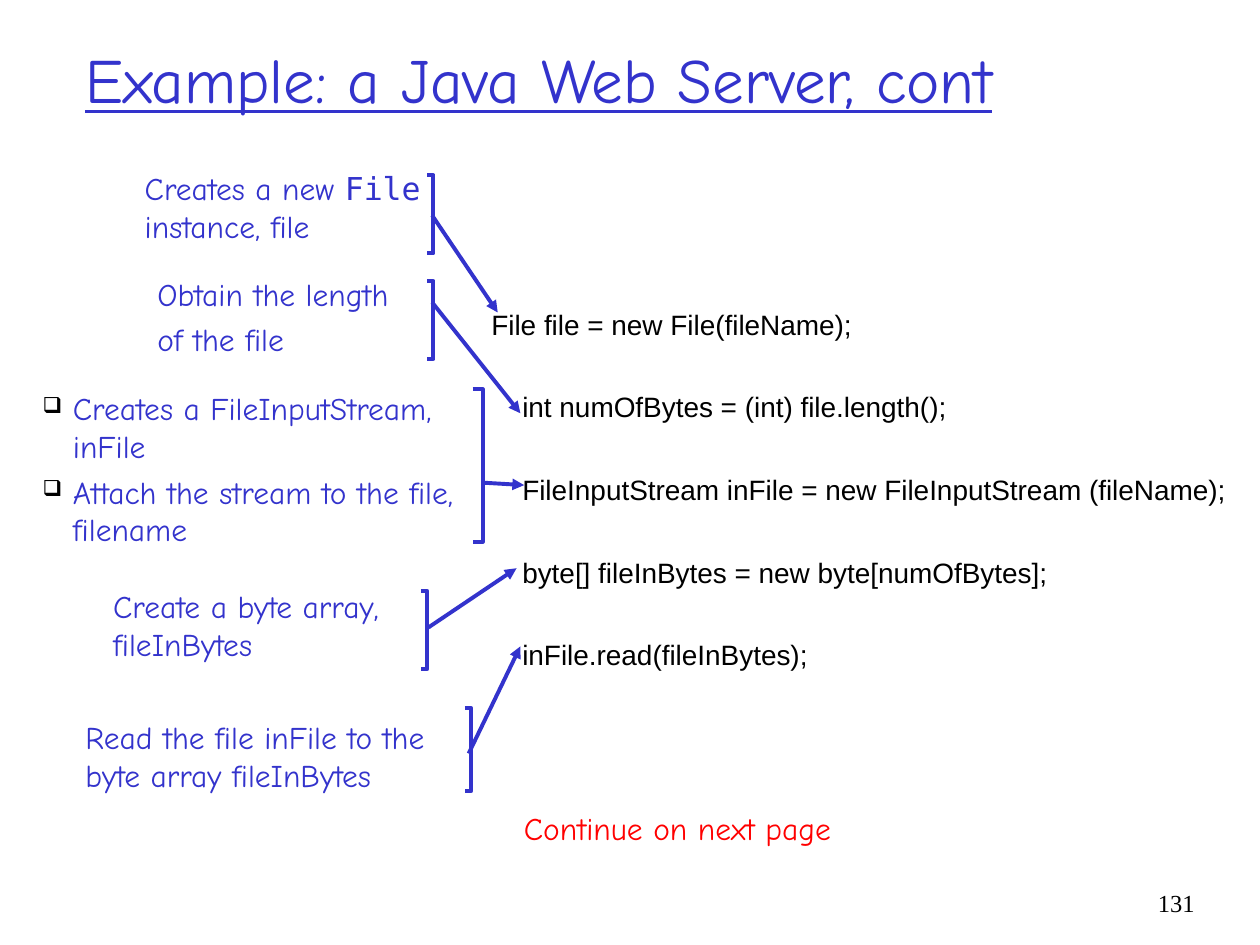
import pptx
import pptx.dml.color
import pptx.enum.shapes
import pptx.enum.text
import pptx.oxml.ns
import pptx.util
from lxml import etree
from pptx.util import Inches

BLUE = "3333CC"
BLACK = "000000"
RED = "FF0000"
HAND = "Comic Neue"
MONO = "DejaVu Sans Mono"


def color(hex_string):
    return pptx.dml.color.RGBColor.from_string(hex_string)


def add_element(parent, tag, **attributes):
    return etree.SubElement(parent, pptx.oxml.ns.qn(tag), **attributes)


def add_bullet(paragraph):
    properties = paragraph._p.get_or_add_pPr()
    properties.set("marL", str(Inches(0.24)))
    properties.set("indent", str(Inches(-0.24)))
    bullet_color = add_element(properties, "a:buClr")
    add_element(bullet_color, "a:srgbClr", val=BLACK)
    add_element(properties, "a:buSzPct", val="70000")
    add_element(properties, "a:buChar", char="❑")


def style_run(run, font, size, hex_string):
    run.font.name = font
    run.font.size = pptx.util.Pt(size)
    run.font.color.rgb = color(hex_string)


def add_text(slide, box, lines, size=18, font=HAND, hex_string=BLUE, gap=4.5,
             bulleted=False, wrap=True):
    shape = slide.shapes.add_textbox(*map(Inches, box))
    text_frame = shape.text_frame
    text_frame.word_wrap = wrap
    text_frame.text = "\n".join(lines)
    for index, paragraph in enumerate(text_frame.paragraphs):
        if bulleted:
            add_bullet(paragraph)
        if index:
            paragraph.space_before = pptx.util.Pt(gap)
        for run in paragraph.runs:
            style_run(run, font, size, hex_string)
    return text_frame


def style_line(shape):
    shape.line.color.rgb = color(BLUE)
    shape.line.width = pptx.util.Pt(2.25)


def add_bracket(slide, box):
    left, top, width, height = map(Inches, box)
    builder = slide.shapes.build_freeform(left, top)
    right, bottom = left + width, top + height
    builder.add_line_segments([(right, top), (right, bottom), (left, bottom)], close=False)
    shape = builder.convert_to_shape()
    shape.shadow.inherit = False
    shape.fill.background()
    style_line(shape)


def add_arrow(slide, start, end):
    connector = slide.shapes.add_connector(
        pptx.enum.shapes.MSO_CONNECTOR.STRAIGHT, *map(Inches, start + end))
    style_line(connector)
    add_element(connector.line._get_or_add_ln(), "a:tailEnd", type="triangle")
    add_element(connector._element.spPr, "a:effectLst")


def add_callout(slide, box, lines, bracket, start, end, bulleted=False):
    text_frame = add_text(slide, box, lines, bulleted=bulleted)
    add_bracket(slide, bracket)
    add_arrow(slide, start, end)
    return text_frame


def add_title(slide, box):
    text_frame = add_text(slide, box, ["Example: a Java Web Server, cont"], size=36)
    text_frame.vertical_anchor = pptx.enum.text.MSO_ANCHOR.MIDDLE
    text_frame.paragraphs[0].runs[0].font.underline = True


def add_code(slide, box):
    lines = [
        " File file = new File(fileName);",
        "     int numOfBytes = (int) file.length();",
        "     FileInputStream inFile = new FileInputStream (fileName);",
        "     byte[] fileInBytes = new byte[numOfBytes];",
        "     inFile.read(fileInBytes);",
    ]
    add_text(slide, box, lines, size=16, font="Arial", hex_string=BLACK, gap=28)


def add_file_callout(slide, box):
    text_frame = add_callout(slide, box, ["Creates a new "],
                             (3.39, 1.39, 0.05, 0.62), (3.43, 1.71), (3.95, 2.48))
    for text, font in (("File", MONO), (" instance, file", HAND)):
        run = text_frame.paragraphs[0].add_run()
        run.text = text
        style_run(run, font, 18, BLUE)


def add_page_number(slide, box):
    text_frame = add_text(slide, box, ["131"], size=14, font="Times New Roman",
                          hex_string=BLACK)
    text_frame.paragraphs[0].alignment = pptx.enum.text.PP_ALIGN.RIGHT


def main():
    presentation = pptx.Presentation()
    presentation.slide_width = Inches(10)
    presentation.slide_height = Inches(7.5)
    slide = presentation.slides.add_slide(presentation.slide_layouts[6])

    add_title(slide, (0.58, 0, 8.5, 1.25))
    add_code(slide, (3.74, 2.39, 6.26, 3.94))
    add_file_callout(slide, (1.05, 1.29, 2.61, 0.7))
    add_callout(slide, (1.15, 2.13, 2.39, 0.77), ["Obtain the length", "of the file"],
                (3.39, 2.23, 0.05, 0.62), (3.43, 2.4), (4.13, 3.28))
    add_callout(slide, (0.24, 3.04, 3.58, 1.37),
                ["Creates a FileInputStream, inFile", "Attach the stream to the file, filename"],
                (3.75, 3.09, 0.08, 1.21), (3.82, 3.83), (4.16, 3.85), bulleted=True)
    add_callout(slide, (0.8, 4.61, 2.77, 0.7), ["Create a byte array, fileInBytes"],
                (3.34, 4.69, 0.05, 0.62), (3.4, 4.98), (4.1, 4.51))
    add_callout(slide, (0.58, 5.65, 3.37, 0.7),
                ["Read the file inFile to the byte array fileInBytes"],
                (3.69, 5.62, 0.05, 0.66), (3.72, 5.98), (4.13, 5.13))
    add_text(slide, (4.06, 6.37, 2.64, 0.4), ["Continue on next page"],
             hex_string=RED, wrap=False)
    add_page_number(slide, (9.08, 7, 0.5, 0.5))

    presentation.save("out.pptx")


if __name__ == "__main__":
    main()
